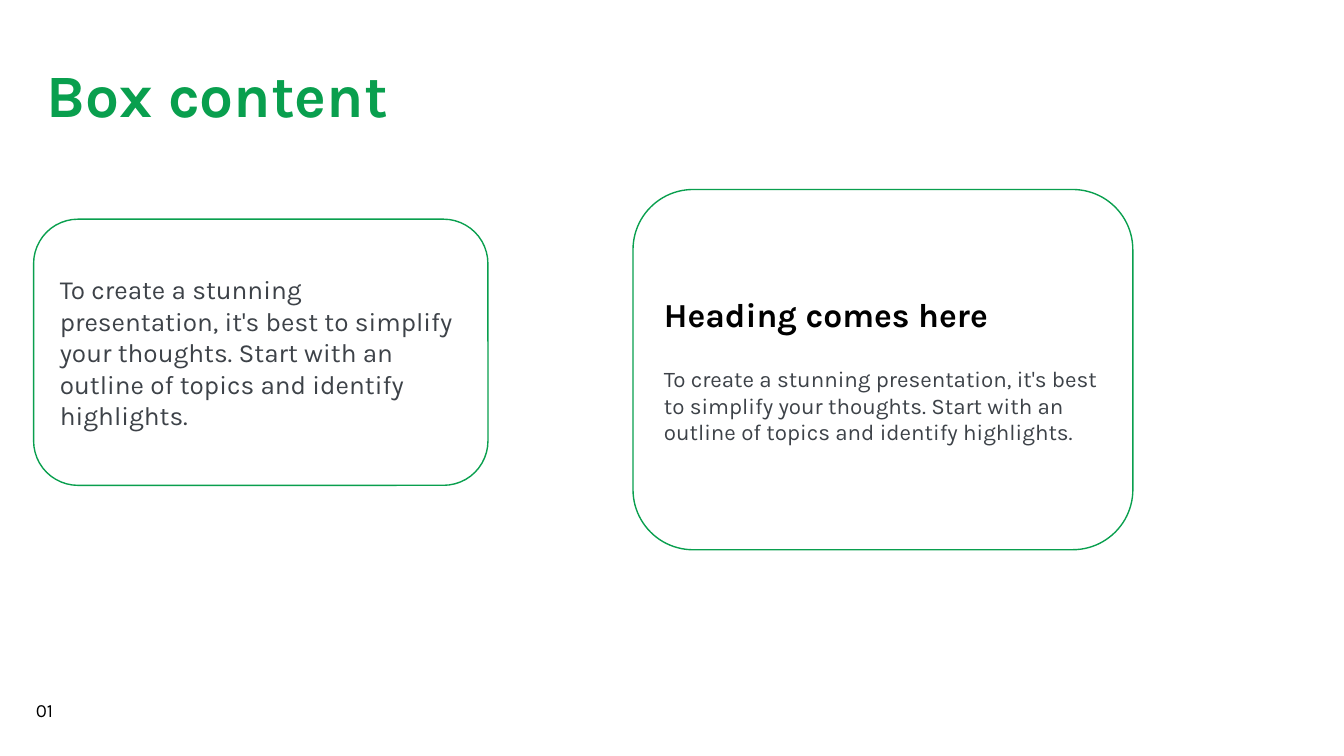
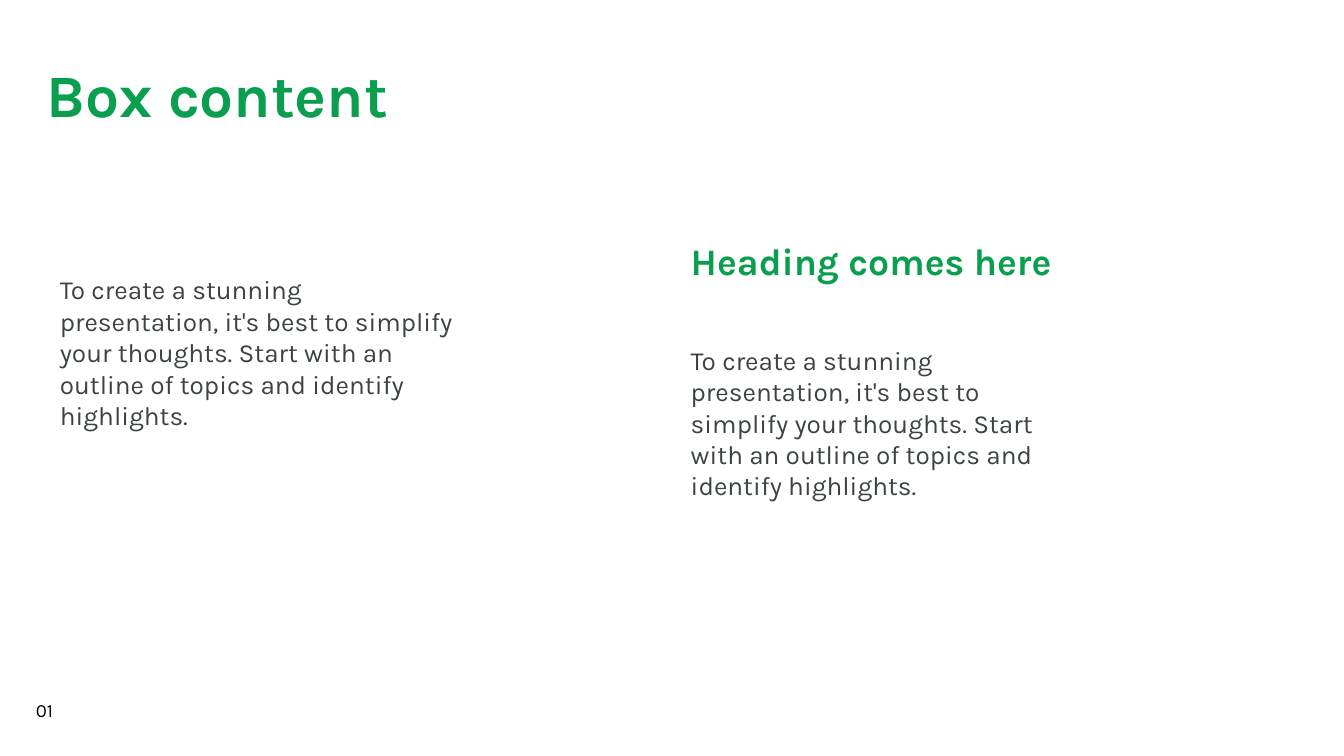
from pptx import Presentation
from pptx.dml.color import RGBColor
from pptx.enum import shapes, text
from pptx.util import Pt

GREEN = RGBColor(0x09, 0x9F, 0x4E)
GREY = RGBColor(0x3D, 0x42, 0x48)
BLACK = RGBColor(0, 0, 0)
WHITE = RGBColor(0xFF, 0xFF, 0xFF)
FONT = "Karla"
INSET = Pt(7.2)
BODY = ("To create a stunning presentation, it's best to simplify your thoughts. "
        "Start with an outline of topics and identify highlights.")
HEADING = "Heading comes here"


def write(shape, lines, anchor=text.MSO_ANCHOR.TOP):
    """Fill a shape with lines of (wording, size, colour, bold, space before)."""
    frame = shape.text_frame
    frame.word_wrap = True
    frame.vertical_anchor = anchor
    frame.margin_left = frame.margin_right = INSET
    frame.margin_top = frame.margin_bottom = INSET
    for i, (wording, size, colour, bold, gap) in enumerate(lines):
        para = frame.add_paragraph() if i else frame.paragraphs[0]
        para.alignment = text.PP_ALIGN.LEFT
        para.space_before = Pt(gap)
        run = para.add_run()
        run.text = wording
        run.font.name = FONT
        run.font.size = Pt(size)
        run.font.bold = bold
        run.font.color.rgb = colour
    return frame


def add_card(slide, place, outlined, lines):
    """Add a rounded card with its text centred vertically."""
    card = slide.shapes.add_shape(shapes.MSO_SHAPE.ROUNDED_RECTANGLE, *map(Pt, place))
    card.adjustments[0] = 0.167
    card.shadow.inherit = False
    card.fill.solid()
    card.fill.fore_color.rgb = WHITE
    if outlined:
        card.line.color.rgb = GREEN
        card.line.width = Pt(0.75)
    else:
        card.line.fill.background()
    write(card, lines, text.MSO_ANCHOR.MIDDLE)


prs = Presentation()
prs.slide_width, prs.slide_height = Pt(720), Pt(405)

# What differs: outline, right card's left and width, its heading and body
variants = [
    (True, 339.1, 267.8, (HEADING, 18, BLACK, True, 0), (BODY, 12, GREY, False, 16.5)),
    (False, 353.5, 243.4, (HEADING, 20, GREEN, True, 0), (BODY, 14, GREY, False, 33)),
]

for outlined, right_left, right_width, heading, body in variants:
    slide = prs.slides.add_slide(prs.slide_layouts[6])

    # Title
    title = slide.shapes.add_textbox(Pt(18), Pt(18), Pt(671), Pt(57.6))
    title_frame = write(title, [("Box content", 32.2, GREEN, True, 0)])
    title_frame.paragraphs[0].line_spacing = 1.15

    # Page number
    page_number = slide.shapes.add_textbox(Pt(12.2), Pt(368.6), Pt(26.6), Pt(26.6))
    number_frame = write(page_number, [("01", 10, BLACK, False, 0)])
    number_frame.auto_size = text.MSO_AUTO_SIZE.SHAPE_TO_FIT_TEXT

    # Cards
    add_card(slide, (18, 117.4, 243.4, 142.6), outlined, [(BODY, 14, GREY, False, 0)])
    add_card(slide, (right_left, 101.5, right_width, 193), outlined, [heading, body])

prs.save("out.pptx")
